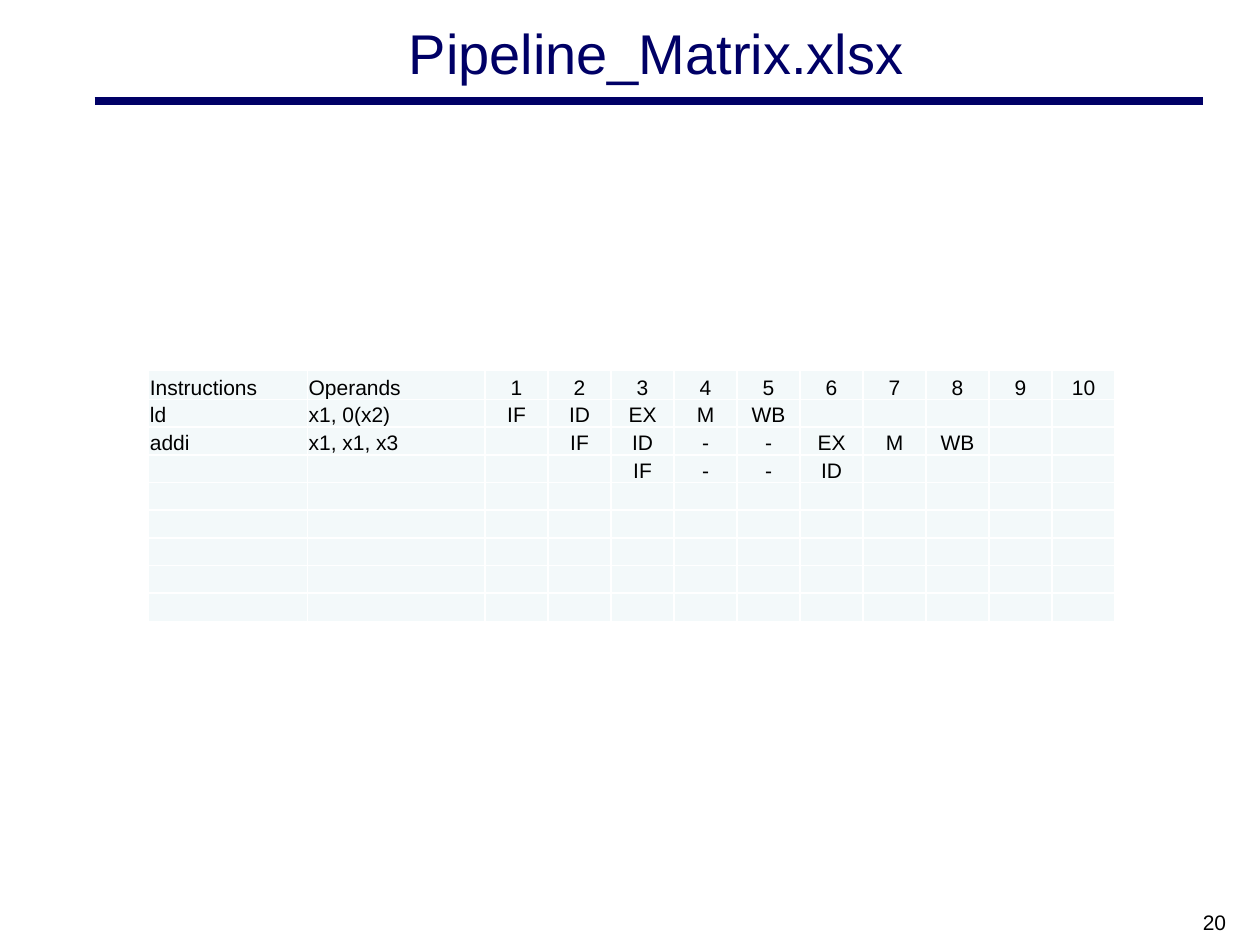
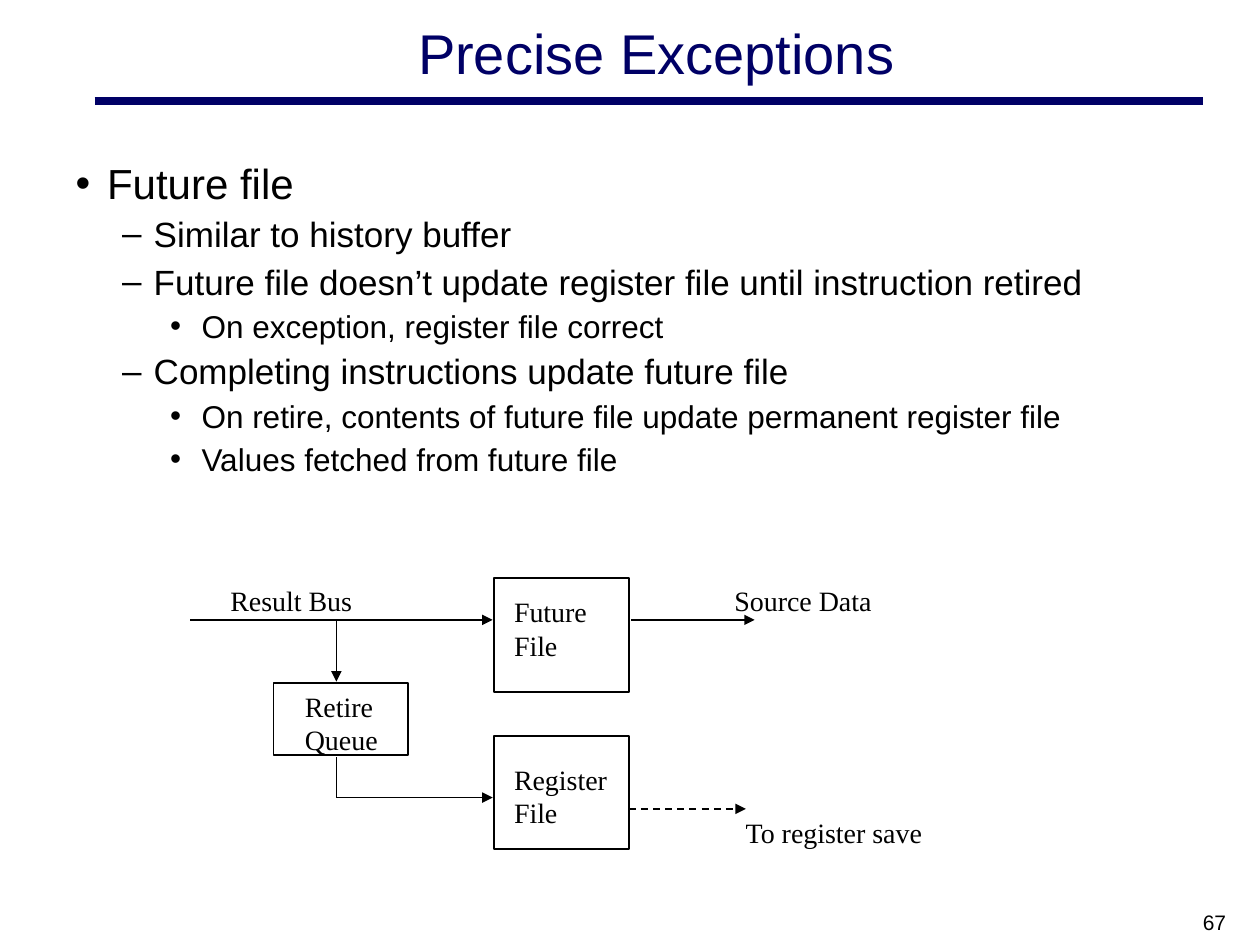
from dataclasses import dataclass

from lxml import etree
from pptx import Presentation
from pptx import util as u
from pptx.dml.color import RGBColor
from pptx.enum import dml, shapes, text
from pptx.oxml.ns import qn


@dataclass(frozen=True)
class Theme:
    navy: str = "000066"
    ink: str = "000000"
    paper: str = "FFFFFF"
    cell: str = "F3F9FA"
    sans: str = "Arial"
    serif: str = "Times New Roman"
    title_size: int = 32
    level_sizes: tuple = (24, 20, 18)
    label_size: int = 16
    small_size: int = 12
    rule_width: float = 4.5
    line_width: float = 1
    bullet_gap: float = 2.9


THEME = Theme()
EMU_PER_PX = 9144
TITLE_ONLY, TITLE_AND_BODY = 5, 1
LEFT, CENTER, RIGHT = text.PP_ALIGN.LEFT, text.PP_ALIGN.CENTER, text.PP_ALIGN.RIGHT
TOP, MIDDLE, BOTTOM = (text.MSO_ANCHOR.TOP, text.MSO_ANCHOR.MIDDLE,
                       text.MSO_ANCHOR.BOTTOM)

STAGES = [
    ["Instructions", "Operands", *map(str, range(1, 11))],
    ["ld", "x1, 0(x2)", "IF", "ID", "EX", "M", "WB"],
    ["addi", "x1, x1, x3", "", "IF", "ID", "-", "-", "EX", "M", "WB"],
    ["", "", "", "", "IF", "-", "-", "ID"],
]
STAGE_COLUMNS = [126, 141] + [50] * 10
STAGE_ROWS = [23] + [22] * 7 + [23]

FUTURE_FILE_POINTS = [
    (0, "Future file"),
    (1, "Similar to history buffer"),
    (1, "Future file doesn’t update register file until instruction retired"),
    (2, "On exception, register file correct"),
    (1, "Completing instructions update future file"),
    (2, "On retire, contents of future file update permanent register file"),
    (2, "Values fetched from future file"),
]
LEVEL_INDENTS = (25, 62, 100)
HANGING = -25


def px(*lengths):
    return [u.Emu(length * EMU_PER_PX) for length in lengths]


def rgb(color):
    return RGBColor.from_string(color)


def write(frame, content, size=THEME.small_size, font=THEME.sans,
          color=THEME.ink, align=LEFT, anchor=TOP, wrap=True):
    frame.word_wrap = wrap
    frame.auto_size = text.MSO_AUTO_SIZE.NONE
    frame.vertical_anchor = anchor
    for index, line in enumerate(content.split("\n")):
        paragraph = frame.paragraphs[0] if index == 0 else frame.add_paragraph()
        paragraph.alignment = align
        run = paragraph.add_run()
        run.text = line
        run.font.size = u.Pt(size)
        run.font.name = font
        run.font.bold = False
        run.font.color.rgb = rgb(color)


def place(shape, left, top, width, height):
    shape.left, shape.top, shape.width, shape.height = px(left, top, width, height)


def draw_line(slide, start, end, color=THEME.ink, width=THEME.line_width,
              arrow=True, dashed=False):
    line = slide.shapes.add_connector(
        shapes.MSO_CONNECTOR.STRAIGHT, *px(*start, *end))
    line.line.color.rgb = rgb(color)
    line.line.width = u.Pt(width)
    if dashed:
        line.line.dash_style = dml.MSO_LINE.DASH
    properties = line.element.spPr
    if arrow:
        etree.SubElement(properties.find(qn("a:ln")), qn("a:tailEnd"), type="triangle")
    etree.SubElement(properties, qn("a:effectLst"))
    return line


def add_label(slide, content, box, **format):
    label = slide.shapes.add_textbox(*px(*box))
    write(label.text_frame, content, **format)


def add_unit(slide, name, box, inset):
    unit = slide.shapes.add_shape(shapes.MSO_SHAPE.RECTANGLE, *px(*box))
    unit.shadow.inherit = False
    unit.fill.background()
    unit.line.color.rgb = rgb(THEME.ink)
    unit.line.width = u.Pt(THEME.line_width)
    frame = unit.text_frame
    frame.margin_left, frame.margin_top, frame.margin_right, frame.margin_bottom = px(
        *inset, 0, 0)
    write(frame, name, size=THEME.label_size, font=THEME.serif)


def add_titled_slide(deck, layout, title, number):
    slide = deck.slides.add_slide(deck.slide_layouts[layout])
    place(slide.shapes.title, 92, 8, 858, 67)
    write(slide.shapes.title.text_frame, title, size=THEME.title_size,
          color=THEME.navy, align=CENTER, anchor=MIDDLE)
    add_label(slide, number, (750, 717, 233, 25), align=RIGHT)
    return slide


def add_master_rule(deck, slide):
    rule = draw_line(slide, (75, 80), (955, 80), color=THEME.navy,
                     width=THEME.rule_width, arrow=False)
    deck.slide_master.shapes.element.append(rule.element)


def fill_points(body, points):
    place(body, 50, 120, 900, 550)
    frame = body.text_frame
    write(frame, "\n".join(point for _, point in points))
    for index, (paragraph, (level, _)) in enumerate(zip(frame.paragraphs, points)):
        paragraph.level = level
        paragraph.space_before = u.Pt(THEME.bullet_gap if index else 0)
        margin, hanging = px(LEVEL_INDENTS[level], HANGING)
        properties = paragraph._p.get_or_add_pPr()
        properties.set("marL", str(margin))
        properties.set("indent", str(hanging))
        paragraph.runs[0].font.size = u.Pt(THEME.level_sizes[level])


def border_cell(cell):
    properties = cell._tc.get_or_add_tcPr()
    for index, side in enumerate(("lnL", "lnR", "lnT", "lnB")):
        edge = etree.Element(qn(f"a:{side}"), w=str(u.Pt(THEME.line_width)))
        fill = etree.SubElement(edge, qn("a:solidFill"))
        etree.SubElement(fill, qn("a:srgbClr"), val=THEME.paper)
        properties.insert(index, edge)


def fill_cell(cell, content, align):
    cell.fill.solid()
    cell.fill.fore_color.rgb = rgb(THEME.cell)
    cell.margin_left, cell.margin_right, cell.margin_top, cell.margin_bottom = px(
        1, 1, 1, 0)
    cell.vertical_anchor = BOTTOM
    border_cell(cell)
    paragraph = cell.text_frame.paragraphs[0]
    if content:
        write(cell.text_frame, content, align=align, anchor=BOTTOM)
    else:
        etree.SubElement(paragraph._p, qn("a:endParaRPr"),
                         sz=str(THEME.small_size * 100))


def add_stage_table(slide):
    box = (118, 294, sum(STAGE_COLUMNS), sum(STAGE_ROWS))
    table = slide.shapes.add_table(len(STAGE_ROWS), len(STAGE_COLUMNS), *px(*box)).table
    table.first_row = table.horz_banding = False
    for column, width in zip(table.columns, px(*STAGE_COLUMNS)):
        column.width = width
    for row, height in zip(table.rows, px(*STAGE_ROWS)):
        row.height = height
    for r in range(len(STAGE_ROWS)):
        stages = STAGES[r] if r < len(STAGES) else []
        for c in range(len(STAGE_COLUMNS)):
            content = stages[c] if c < len(stages) else ""
            fill_cell(table.cell(r, c), content, LEFT if c < 2 else CENTER)


def draw_future_file(slide):
    add_unit(slide, "Future\nFile", (392, 459, 107, 90), inset=(16, 13))
    add_unit(slide, "Register\nFile", (392, 584, 107, 90), inset=(16, 21))
    add_unit(slide, "Retire\nQueue", (217, 542, 107, 57), inset=(25, 5))
    for label, box in (
        ("Result Bus", (173, 458, 117, 36)),
        ("Source Data", (573, 458, 129, 36)),
        ("To register save", (582, 642, 162, 36)),
    ):
        add_label(slide, label, box, size=THEME.label_size, font=THEME.serif,
                  wrap=False)

    bus_y, retire_x, retire_y = 492, 267, 633
    draw_line(slide, (151, bus_y), (391, bus_y))
    draw_line(slide, (501, bus_y), (599, bus_y))
    draw_line(slide, (retire_x, bus_y), (retire_x, 541))
    draw_line(slide, (retire_x, 601), (retire_x, retire_y), arrow=False)
    draw_line(slide, (retire_x, retire_y), (391, retire_y))
    draw_line(slide, (499, 642), (592, 642), dashed=True)


def main():
    deck = Presentation()
    deck.slide_width, deck.slide_height = px(1000, 750)

    matrix = add_titled_slide(deck, TITLE_ONLY, "Pipeline_Matrix.xlsx", "20")
    add_master_rule(deck, matrix)
    add_stage_table(matrix)

    exceptions = add_titled_slide(deck, TITLE_AND_BODY, "Precise Exceptions", "67")
    fill_points(exceptions.placeholders[1], FUTURE_FILE_POINTS)
    draw_future_file(exceptions)

    deck.save("out.pptx")


if __name__ == "__main__":
    main()
